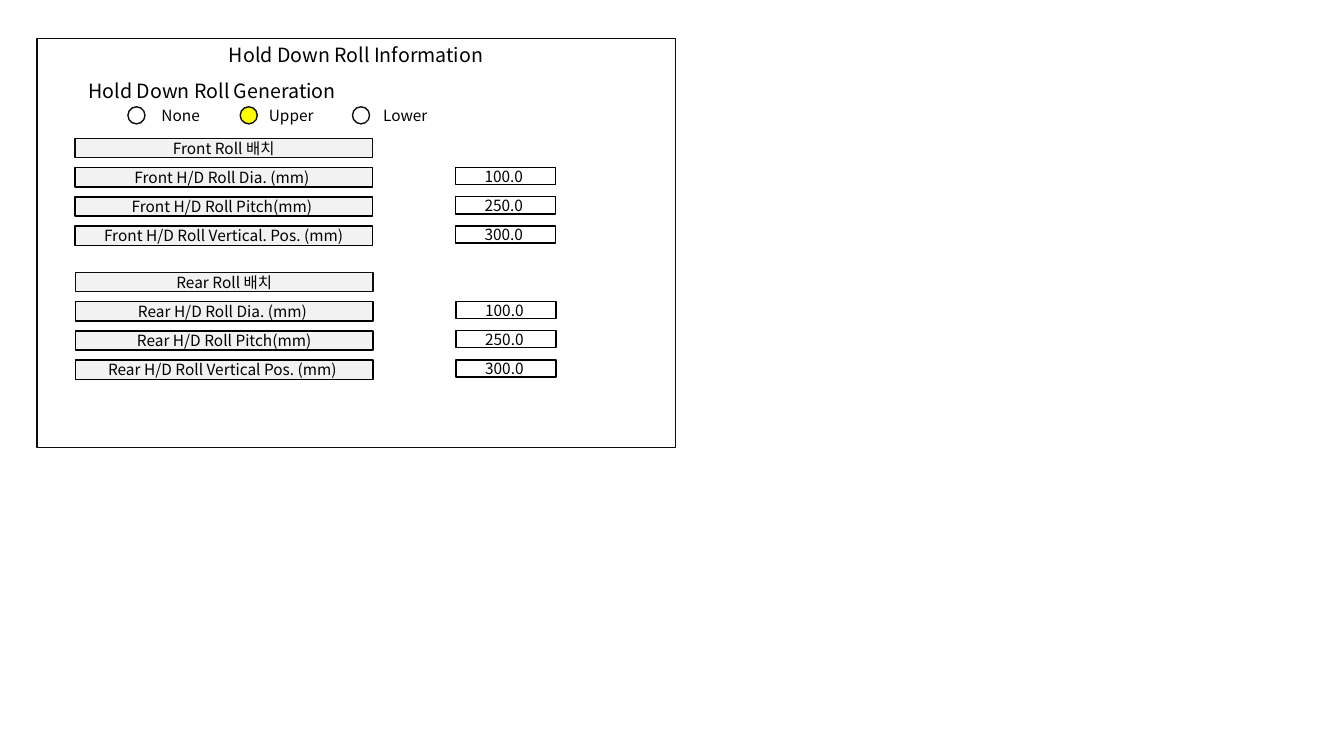
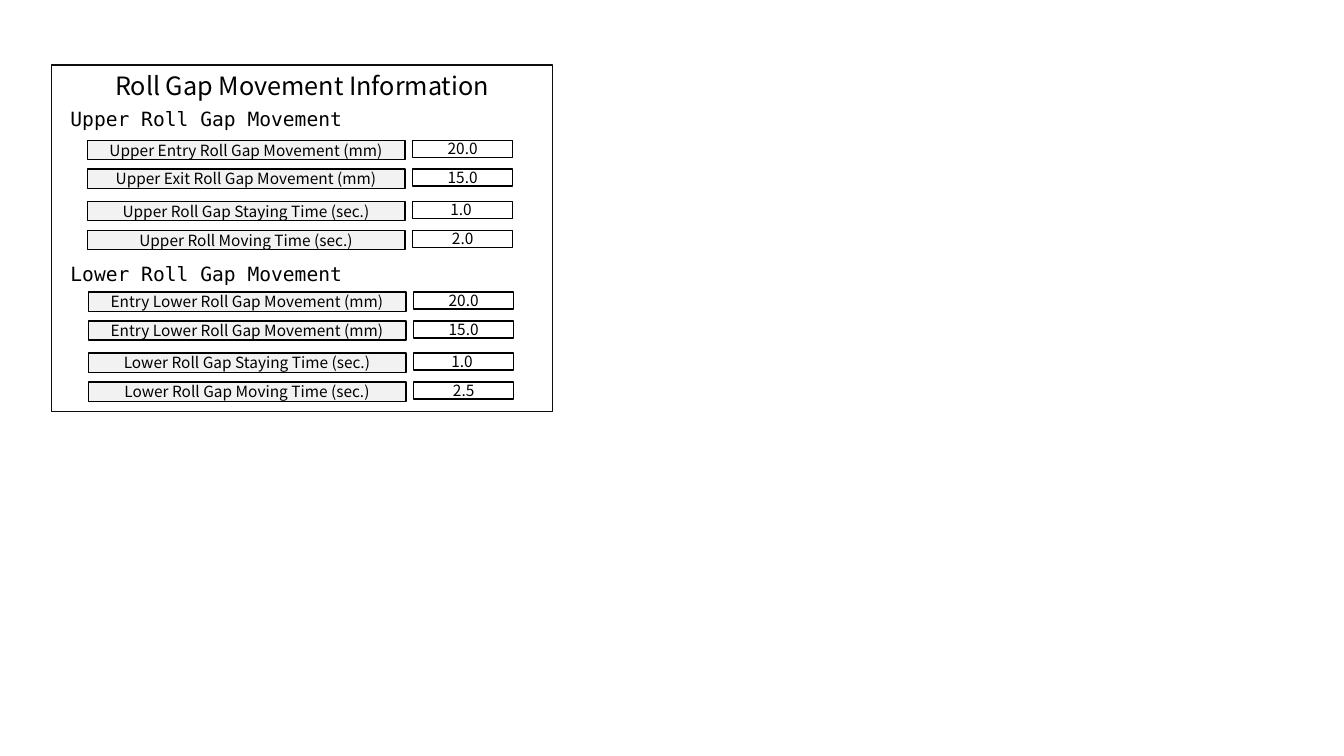
"""Builds two slides of roll setting panels."""
from lxml import etree
from pptx import Presentation
from pptx.dml.color import RGBColor
from pptx.enum import shapes, text
from pptx.oxml import ns
from pptx.util import Pt

SANS, MONO = "Noto Sans CJK KR", "DejaVu Sans Mono"
BLACK, INK, GREY, WHITE, YELLOW = "000000", "0D0D0D", "F2F2F2", "FFFFFF", "FFFF00"
RECT, OVAL = shapes.MSO_SHAPE.RECTANGLE, shapes.MSO_SHAPE.OVAL
LEFT, CENTER = text.PP_ALIGN.LEFT, text.PP_ALIGN.CENTER
TOP, MIDDLE = text.MSO_ANCHOR.TOP, text.MSO_ANCHOR.MIDDLE
LABEL_HEIGHT, VALUE_WIDTH, VALUE_HEIGHT = 13.8, 71.4, 12.2

ROLL_STEP = 20.9
ROLL_OPTIONS = [("None", WHITE), ("Upper ", YELLOW), ("Lower", WHITE)]
ROLL_SECTIONS = [
    (53.6, 325.4, 98.8, "Front Roll 배치", [
        ("Front H/D Roll Dia. (mm) ", "100.0 "),
        ("Front H/D Roll Pitch(mm) ", "250.0 "),
        ("Front H/D Roll Vertical. Pos. (mm)", "300.0 ")]),
    (54, 325.8, 194.5, "Rear Roll 배치", [
        ("Rear H/D Roll Dia. (mm) ", "100.0 "),
        ("Rear H/D Roll Pitch(mm)", "250.0 "),
        ("Rear H/D Roll Vertical Pos. (mm) ", "300.0 ")]),
]

GAP_OFFSETS = [0, 20.6, 43.6, 64.3]
GAP_SECTIONS = [
    (62.4, 294.8, 100.2, 72.7, "Upper Roll Gap Movement", [
        ("Upper Entry Roll Gap Movement (mm)", "20.0"),
        ("Upper Exit Roll Gap Movement (mm)", "15.0"),
        ("Upper Roll Gap Staying Time (sec.)", "1.0 "),
        ("Upper Roll Moving Time (sec.)", "2.0")]),
    (63.1, 295.5, 208.6, 183.6, "Lower Roll Gap Movement", [
        ("Entry Lower Roll Gap Movement (mm)", "20.0"),
        ("Entry Lower Roll Gap Movement (mm)", "15.0"),
        ("Lower Roll Gap Staying Time (sec.)", "1.0 "),
        ("Lower Roll Gap Moving Time (sec.)", "2.5")]),
]


def color(code):
    """Turn a hex string into a colour."""
    return RGBColor.from_string(code)


def write(box, wording, size=11, font=SANS, align=CENTER, anchor=MIDDLE):
    """Put one formatted line of text into a box."""
    frame = box.text_frame
    frame.word_wrap = True
    frame.vertical_anchor = anchor
    para = frame.paragraphs[0]
    para.alignment = align
    span = para.add_run()
    span.text = wording
    span.font.name = font
    span.font.size = Pt(size)
    span.font.color.rgb = color(BLACK)
    etree.SubElement(span._r.get_or_add_rPr(), ns.qn("a:ea"), typeface=font)


def add_box(panel, left, top, width, height, kind=RECT, fill=None, line=BLACK):
    """Add an outlined shape to a panel."""
    box = panel.shapes.add_shape(kind, Pt(left), Pt(top), Pt(width), Pt(height))
    box.shadow.inherit = False
    if fill:
        box.fill.solid()
        box.fill.fore_color.rgb = color(fill)
    else:
        box.fill.background()
    box.line.color.rgb = color(line)
    box.line.width = Pt(1)
    return box


def add_panel(deck, title, left, top, width, height, size):
    """Add a page with a titled frame and return its group."""
    page = deck.slides.add_slide(deck.slide_layouts[6])
    panel = page.shapes.add_group_shape()
    frame = add_box(panel, left, top, width, height, fill=WHITE, line=INK)
    write(frame, title, size=size, anchor=TOP)
    return panel


def add_label(panel, wording, left, top, width, line=BLACK):
    """Add a grey label bar."""
    label = add_box(panel, left, top, width, LABEL_HEIGHT, fill=GREY, line=line)
    label.text_frame.margin_left = label.text_frame.margin_right = Pt(0)
    write(label, wording)


def add_value(panel, wording, left, top, line=BLACK):
    """Add a small unfilled box with a value or a caption."""
    write(add_box(panel, left, top, VALUE_WIDTH, VALUE_HEIGHT, line=line), wording)


def add_heading(panel, wording, top):
    """Add a monospaced section heading."""
    heading = panel.shapes.add_textbox(Pt(43.2), Pt(top), Pt(267.8), Pt(24.2))
    write(heading, wording, size=14, font=MONO, align=LEFT, anchor=TOP)
    heading.text_frame.auto_size = text.MSO_AUTO_SIZE.SHAPE_TO_FIT_TEXT


def add_option(panel, wording, left, top, fill):
    """Add a radio button with its caption."""
    add_value(panel, wording, left + 2, top, line=WHITE)
    add_box(panel, left, top, VALUE_HEIGHT, VALUE_HEIGHT, kind=OVAL, fill=fill, line=INK)


def build_hold_down(deck):
    """Build the hold down roll page."""
    panel = add_panel(deck, "Hold Down Roll Information", 26.6, 27.4, 455.8, 292.3, 14)
    heading = add_box(panel, 56.2, 58.3, 198, 13, line=WHITE)
    write(heading, "Hold Down Roll Generation", size=14, align=LEFT)
    for index, (wording, fill) in enumerate(ROLL_OPTIONS):
        add_option(panel, wording, 91.4 + 80.2 * index, 76.3, fill)
    for left, value_left, top, title, rows in ROLL_SECTIONS:
        add_label(panel, title, left, top, 212.4, line=INK)
        for index, (wording, value) in enumerate(rows, 1):
            row_top = top + ROLL_STEP * index
            add_label(panel, wording, left, row_top, 212.4)
            add_value(panel, value, value_left, row_top)


def build_gap_movement(deck):
    """Build the roll gap movement page."""
    panel = add_panel(deck, "Roll Gap Movement Information", 36.8, 46.4, 358, 247.6, 18)
    for left, value_left, top, heading_top, title, rows in GAP_SECTIONS:
        add_heading(panel, title, heading_top)
        for offset, (wording, value) in zip(GAP_OFFSETS, rows):
            add_label(panel, wording, left, top + offset, 226.8)
            add_value(panel, value, value_left, top + offset)


def main():
    """Build and save the deck."""
    deck = Presentation()
    deck.slide_width, deck.slide_height = Pt(960), Pt(540)
    build_hold_down(deck)
    build_gap_movement(deck)
    deck.save("out.pptx")


if __name__ == "__main__":
    main()
